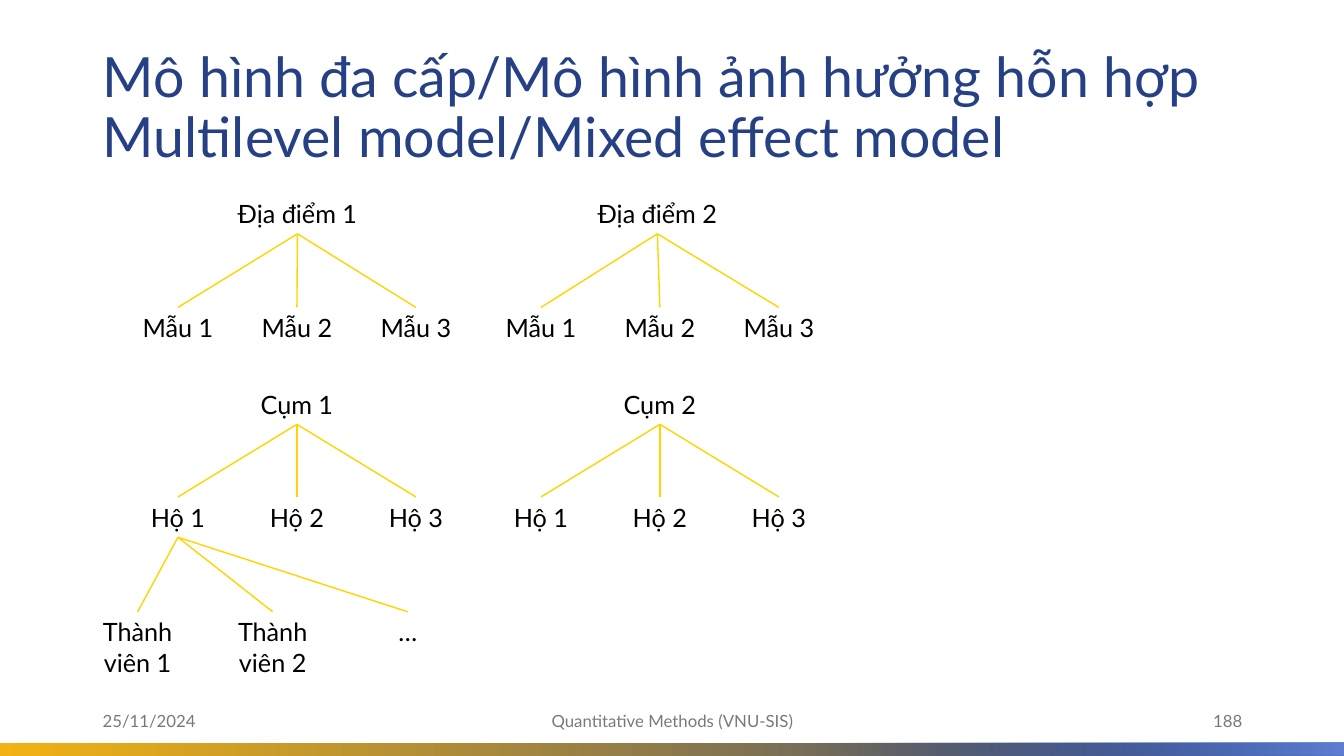
from dataclasses import dataclass

import pptx
import pptx.dml.color
import pptx.enum.shapes
import pptx.enum.text
import pptx.oxml.ns
import pptx.shapes.autoshape
import pptx.slide
import pptx.util
from lxml import etree

Inches = pptx.util.Inches
RGBColor = pptx.dml.color.RGBColor
Align = pptx.enum.text.PP_ALIGN
Anchor = pptx.enum.text.MSO_ANCHOR
qn = pptx.oxml.ns.qn

FONT = "Lato"
NAVY = RGBColor(0x25, 0x40, 0x85)
SKY = RGBColor(0x5F, 0x80, 0xD3)
GOLD = RGBColor(0xF2, 0xB2, 0x13)
YELLOW = RGBColor(0xFF, 0xD4, 0x00)
GREY = RGBColor(0x79, 0x79, 0x79)
BLACK = RGBColor(0, 0, 0)

LABEL_WIDTH = 1.27
LABEL_HEIGHT = 0.4
SAMPLES = ("Mẫu 1", "Mẫu 2", "Mẫu 3")
HOUSEHOLDS = ("Hộ 1", "Hộ 2", "Hộ 3")
MEMBERS = ("Thành viên 1", "Thành viên 2", "…")


@dataclass
class Tree:
    root: str
    left: float
    top: float
    width: float
    children: tuple[str, ...]
    children_left: float
    children_top: float


@dataclass
class FooterItem:
    text: str
    left: float
    width: float
    align: Align


@dataclass
class Bar:
    left: float
    width: float
    start: RGBColor
    end: RGBColor
    start_position: float
    fades_in: bool


TREES = (
    Tree("Địa điểm 1", 2.14, 1.92, 1.62, SAMPLES, 1.13, 3.05),
    Tree("Địa điểm 2", 5.71, 1.92, 1.62, SAMPLES, 4.73, 3.05),
    Tree("Cụm 1", 2.31, 3.81, LABEL_WIDTH, HOUSEHOLDS, 1.13, 4.93),
    Tree("Cụm 2", 5.91, 3.81, LABEL_WIDTH, HOUSEHOLDS, 4.73, 4.93),
)
FOOTER = (
    FooterItem("25/11/2024", 0.92, 3, Align.LEFT),
    FooterItem("Quantitative Methods (VNU-SIS)", 4.42, 4.5, Align.CENTER),
    FooterItem("188", 9.42, 3, Align.RIGHT),
)
BARS = (
    Bar(-0.01, 13.35, GOLD, NAVY, 0, False),
    Bar(6.86, 6.48, NAVY, SKY, 0.19, True),
)


def add_bar(page: pptx.slide.Slide, bar: Bar) -> None:
    shape = page.shapes.add_shape(
        pptx.enum.shapes.MSO_SHAPE.RECTANGLE,
        Inches(bar.left), Inches(7.37), Inches(bar.width), Inches(0.13))
    shape.shadow.inherit = False
    shape.line.fill.background()
    shape.fill.gradient()
    shape.fill.gradient_angle = 0
    first, last = shape.fill.gradient_stops
    first.color.rgb, first.position = bar.start, bar.start_position
    last.color.rgb, last.position = bar.end, 1
    if bar.fades_in:
        start_color = next(shape.element.iter(qn("a:srgbClr")))
        etree.SubElement(start_color, qn("a:alpha"), val="0")


def add_text(page: pptx.slide.Slide, text: str, left: float, top: float, width: float,
             size: float, color: RGBColor, align: Align) -> pptx.shapes.autoshape.Shape:
    box = page.shapes.add_textbox(
        Inches(left), Inches(top), Inches(width), Inches(LABEL_HEIGHT))
    box.text_frame.word_wrap = True
    para = box.text_frame.paragraphs[0]
    para.text = text
    para.alignment = align
    para.font.name = FONT
    para.font.size = pptx.util.Pt(size)
    para.font.color.rgb = color
    return box


def add_label(page: pptx.slide.Slide, text: str, left: float, top: float,
              width: float = LABEL_WIDTH) -> pptx.shapes.autoshape.Shape:
    box = add_text(page, text, left, top, width, 18, BLACK, Align.CENTER)
    box.text_frame.auto_size = pptx.enum.text.MSO_AUTO_SIZE.SHAPE_TO_FIT_TEXT
    return box


def add_children(page: pptx.slide.Slide, parent: pptx.shapes.autoshape.Shape,
                 names: tuple[str, ...], left: float, top: float,
                 step: float) -> list[pptx.shapes.autoshape.Shape]:
    """Place evenly spaced labels and join each to the parent's bottom."""
    labels = []
    for index, name in enumerate(names):
        label = add_label(page, name, left + index * step, top)
        branch = page.shapes.add_connector(
            pptx.enum.shapes.MSO_CONNECTOR.STRAIGHT, 0, 0, 0, 0)
        branch.begin_connect(parent, 2)
        branch.end_connect(label, 0)
        branch.line.color.rgb = YELLOW
        branch.line.width = pptx.util.Pt(1)
        etree.SubElement(branch.element.spPr, qn("a:effectLst"))
        labels.append(label)
    return labels


def add_title(page: pptx.slide.Slide) -> None:
    title = page.shapes.title
    title.left, title.top = Inches(0.92), Inches(0.4)
    title.width, title.height = Inches(11.5), Inches(1.37)
    title.text_frame.vertical_anchor = Anchor.MIDDLE
    title.text_frame.word_wrap = True
    title.text_frame.auto_size = pptx.enum.text.MSO_AUTO_SIZE.NONE
    para = title.text_frame.paragraphs[0]
    para.text = ("Mô hình đa cấp/Mô hình ảnh hưởng hỗn hợp\v"
                 "Multilevel model/Mixed effect model")
    para.alignment = Align.LEFT
    para.line_spacing = 0.9
    para.font.name = FONT
    para.font.size = pptx.util.Pt(39.6)
    para.font.color.rgb = NAVY


def main() -> None:
    deck = pptx.Presentation()
    deck.slide_width, deck.slide_height = Inches(13.33), Inches(7.5)
    page = deck.slides.add_slide(deck.slide_layouts.get_by_name("Title Only"))
    add_title(page)
    for bar in BARS:
        add_bar(page, bar)
    for item in FOOTER:
        box = add_text(page, item.text, item.left, 6.95, item.width, 12, GREY, item.align)
        box.text_frame.vertical_anchor = Anchor.MIDDLE
    first_children = {}
    for tree in TREES:
        root = add_label(page, tree.root, tree.left, tree.top, tree.width)
        children = add_children(
            page, root, tree.children, tree.children_left, tree.children_top, 1.18)
        first_children[tree.root] = children[0]
    add_children(page, first_children["Cụm 1"], MEMBERS, 0.73, 6.07, 1.34)
    deck.save("out.pptx")


if __name__ == "__main__":
    main()
